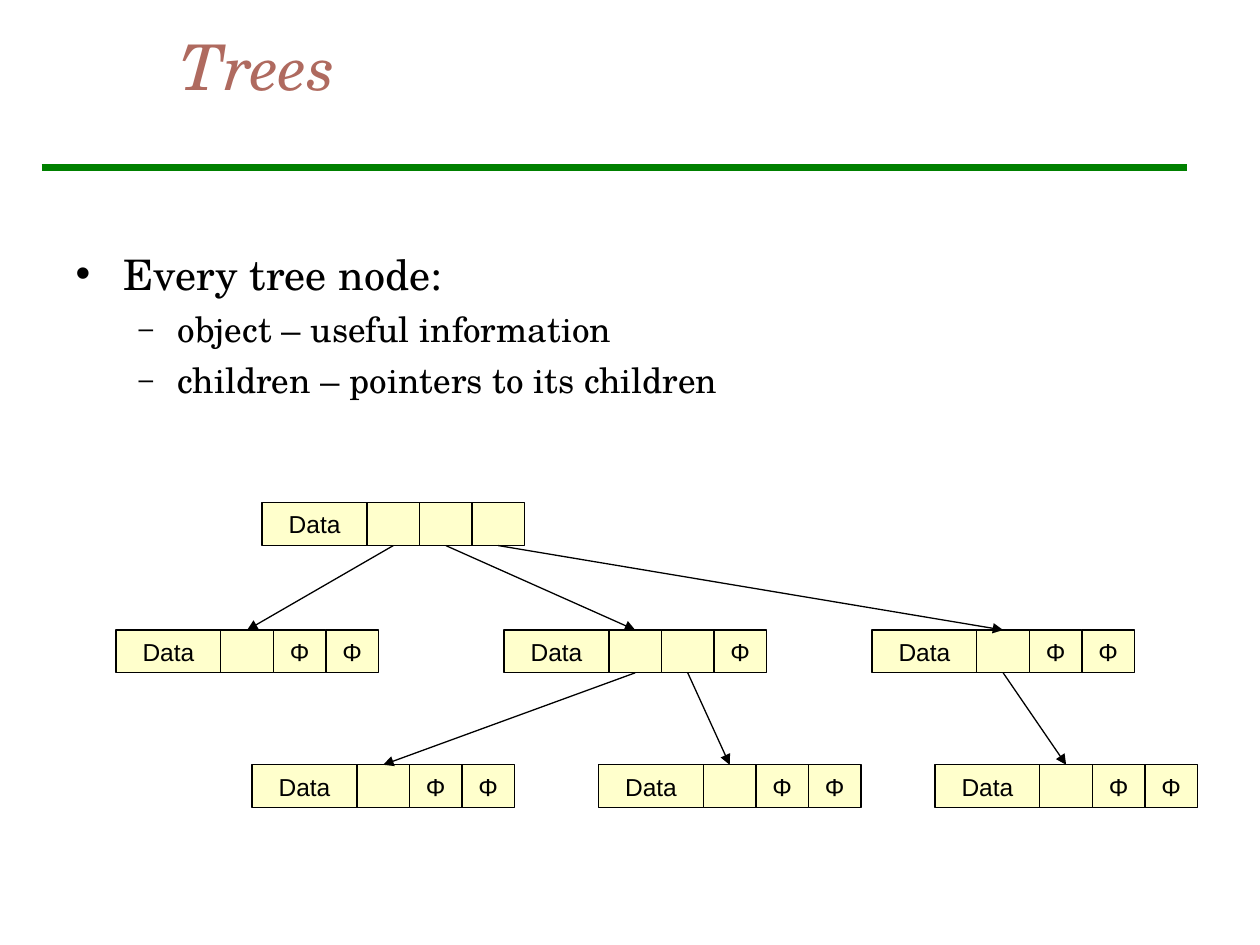
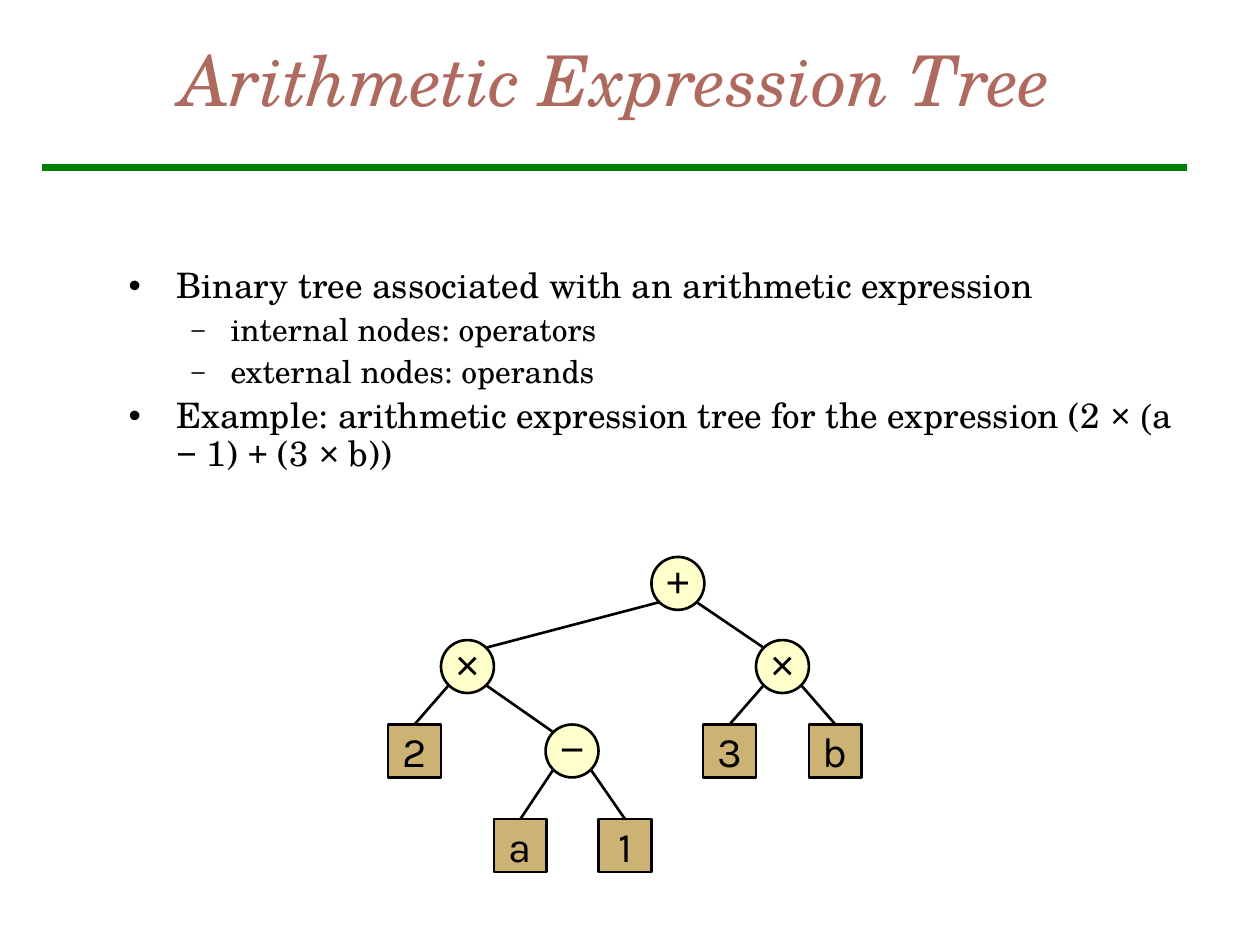
"""Build two slides on trees: linked tree nodes and an arithmetic expression tree."""
from lxml import etree
from pptx import Presentation
from pptx.dml.color import RGBColor
from pptx.enum.shapes import MSO_CONNECTOR, MSO_SHAPE
from pptx.enum.text import MSO_ANCHOR, MSO_AUTO_SIZE, PP_ALIGN
from pptx.oxml.ns import qn
from pptx.util import Inches, Pt

RECTANGLE, OVAL = MSO_SHAPE.RECTANGLE, MSO_SHAPE.OVAL
STRAIGHT = MSO_CONNECTOR.STRAIGHT
MIDDLE, TOP = MSO_ANCHOR.MIDDLE, MSO_ANCHOR.TOP
LEFT, CENTER = PP_ALIGN.LEFT, PP_ALIGN.CENTER
NO_AUTOFIT = MSO_AUTO_SIZE.NONE
SERIF, SANS, OPERAND_FONT, PAREN_FONT = "TeX Gyre Schola", "Arial", "Karla", "Times New Roman"
BLACK, TITLE_RED, RULE_GREEN = "000000", "AF6A5F", "008000"
CREAM, TAN = "FFFFCC", "CCB374"
rgb = RGBColor.from_string


def add_box(shapes, kind, left, top, width, height, fill, weight, label, font, size):
    box = shapes.add_shape(kind, Inches(left), Inches(top), Inches(width), Inches(height))
    box.shadow.inherit = False
    box.fill.solid()
    box.fill.fore_color.rgb = rgb(fill)
    box.line.color.rgb = rgb(BLACK)
    box.line.width = Pt(weight)
    frame = box.text_frame
    frame.vertical_anchor = MIDDLE
    frame.text = label
    frame.paragraphs[0].alignment = CENTER
    for run in frame.paragraphs[0].runs:
        run.font.name = font
        run.font.size = Pt(size)
        run.font.color.rgb = rgb(BLACK)
    return box


def add_line(shapes, start, end, color, weight, arrow=False):
    points = [Inches(value) for value in (*start, *end)]
    line = shapes.add_connector(STRAIGHT, *points)
    line.line.color.rgb = rgb(color)
    line.line.width = Pt(weight)
    if arrow:
        etree.SubElement(line.line._get_or_add_ln(), qn("a:tailEnd"), type="triangle")
    etree.SubElement(line._element.spPr, qn("a:effectLst"))


pages = [
    {
        "title": "Trees", "title_size": 36, "title_height": 1.04,
        "body_at": (0.5, 1.92, 9, 4.25), "line_spacing": 1.0,
        "sizes": (24, 20), "gaps": (6, 5),
        "items": [
            (0, [("Every tree node:", SERIF)]),
            (1, [("object – useful information", SERIF)]),
            (1, [("children – pointers to its children", SERIF)]),
        ],
    },
    {
        "title": "Arithmetic Expression Tree", "title_size": 40, "title_height": 1.25,
        "body_at": (0.92, 2.08, 8.5, 1.79), "line_spacing": 0.9,
        "sizes": (20, 18), "gaps": (5, 4.5),
        "items": [
            (0, [("Binary tree associated with an arithmetic expression", SERIF)]),
            (1, [("internal nodes: operators", SERIF)]),
            (1, [("external nodes: operands", SERIF)]),
            (0, [("Example: arithmetic expression tree for the expression (2 ", SERIF),
                 ("× ", SANS), ("(", PAREN_FONT), ("a ", SERIF), ("−", SANS), (" 1) ", SERIF),
                 ("+", SANS), (" (3 ", SERIF), ("× ", SANS), ("b))", SERIF)]),
        ],
    },
]
bullets = [("•", 0.38, 0.38, 100), ("–", 0.81, 0.31, 75)]

deck = Presentation()
deck.slide_width, deck.slide_height = Inches(10), Inches(7.5)

for page in pages:
    slide = deck.slides.add_slide(deck.slide_layouts[1])
    add_line(slide.shapes, (0.33, 1.33), (9.42, 1.33), RULE_GREEN, 4)

    title, body = slide.placeholders
    title.left, title.top = Inches(1.33), Inches(0)
    title.width, title.height = Inches(8.5), Inches(page["title_height"])
    title.text_frame.text = page["title"]
    title.text_frame.auto_size = NO_AUTOFIT
    title.text_frame.vertical_anchor = MIDDLE
    heading = title.text_frame.paragraphs[0]
    heading.alignment = LEFT
    heading_font = heading.runs[0].font
    heading_font.name, heading_font.size = SERIF, Pt(page["title_size"])
    heading_font.italic = True
    heading_font.color.rgb = rgb(TITLE_RED)

    body.left, body.top, body.width, body.height = map(Inches, page["body_at"])
    body.text_frame.auto_size = NO_AUTOFIT
    body.text_frame.vertical_anchor = TOP
    for index, (level, pieces) in enumerate(page["items"]):
        item = body.text_frame.add_paragraph() if index else body.text_frame.paragraphs[0]
        item.level = level
        item.line_spacing = page["line_spacing"]
        item.space_before = Pt(page["gaps"][level])
        mark, margin, hanging, percent = bullets[level]
        properties = item._p.get_or_add_pPr()
        properties.set("marL", str(Inches(margin)))
        properties.set("indent", str(-Inches(hanging)))
        mark_color = etree.SubElement(properties, qn("a:buClr"))
        etree.SubElement(mark_color, qn("a:srgbClr"), val=BLACK)
        etree.SubElement(properties, qn("a:buSzPct"), val=str(percent * 1000))
        etree.SubElement(properties, qn("a:buFont"), typeface=SANS)
        etree.SubElement(properties, qn("a:buChar"), char=mark)
        for words, font in pieces:
            run = item.add_run()
            run.text = words
            run.font.name, run.font.size = font, Pt(page["sizes"][level])
            run.font.color.rgb = rgb(BLACK)

nodes_slide, expression_slide = deck.slides

CELL, NODE_HEIGHT = 5 / 12, 0.34
linked_nodes = {
    "root": (2.08, 3.99, ["", "", ""]),
    "left": (0.92, 5, ["", "Φ", "Φ"]),
    "middle": (4, 5, ["", "", "Φ"]),
    "right": (6.92, 5, ["", "Φ", "Φ"]),
    "middle first": (2, 6.07, ["", "Φ", "Φ"]),
    "middle second": (4.75, 6.07, ["", "Φ", "Φ"]),
    "right first": (7.42, 6.07, ["", "Φ", "Φ"]),
}
pointers = [
    ("root", 0, "left"), ("root", 1, "middle"), ("root", 2, "right"),
    ("middle", 0, "middle first"), ("middle", 1, "middle second"),
    ("right", 0, "right first"),
]
for left, top, slots in linked_nodes.values():
    node = nodes_slide.shapes.add_group_shape().shapes
    add_box(node, RECTANGLE, left, top, 2 * CELL, NODE_HEIGHT, CREAM, 0.75, "Data", SANS, 14)
    for slot, label in enumerate(slots, start=2):
        add_box(node, RECTANGLE, left + slot * CELL, top, CELL, NODE_HEIGHT,
                CREAM, 0.75, label, SANS, 14)
for parent, slot, child in pointers:
    parent_left, parent_top, _ = linked_nodes[parent]
    child_left, child_top, _ = linked_nodes[child]
    add_line(nodes_slide.shapes,
             (parent_left + (slot + 2.5) * CELL, parent_top + NODE_HEIGHT),
             (child_left + 2.5 * CELL, child_top), BLACK, 0.75, arrow=True)

NODE, RIM = 0.42, 0.15
operators = {
    "sum": ("+", 5.17, 4.42), "right product": ("×", 6, 5.08),
    "left product": ("×", 3.5, 5.08), "difference": ("−", 4.33, 5.75),
}
operands = {
    "2": (3.08, 5.75), "a": (3.92, 6.5), "1": (4.75, 6.5),
    "3": (5.58, 5.75), "b": (6.42, 5.75),
}
branches = {
    "sum": ("left product", "right product"), "right product": ("3", "b"),
    "left product": ("2", "difference"), "difference": ("a", "1"),
}
expression = expression_slide.shapes.add_group_shape().shapes
for symbol, left, top in operators.values():
    circle = add_box(expression, OVAL, left, top, NODE, NODE, CREAM, 1.5, symbol, SANS, 24)
    circle.text_frame.word_wrap = False
    circle.text_frame.margin_left = circle.text_frame.margin_right = 0
    circle.text_frame.margin_top = 0
for symbol, (left, top) in operands.items():
    square = add_box(expression, RECTANGLE, left, top, NODE, NODE, TAN, 1.5,
                     symbol, OPERAND_FONT, 24)
    square.text_frame.word_wrap = False
for parent, children in branches.items():
    _, parent_left, parent_top = operators[parent]
    for side, child in zip((-1, 1), children):
        start = (parent_left + NODE / 2 + side * RIM, parent_top + NODE / 2 + RIM)
        if child in operators:
            _, left, top = operators[child]
            end = (left + NODE / 2 - side * RIM, top + NODE / 2 - RIM)
        else:
            left, top = operands[child]
            end = (left + NODE / 2, top)
        add_line(expression, start, end, BLACK, 1.5)

deck.save("out.pptx")
